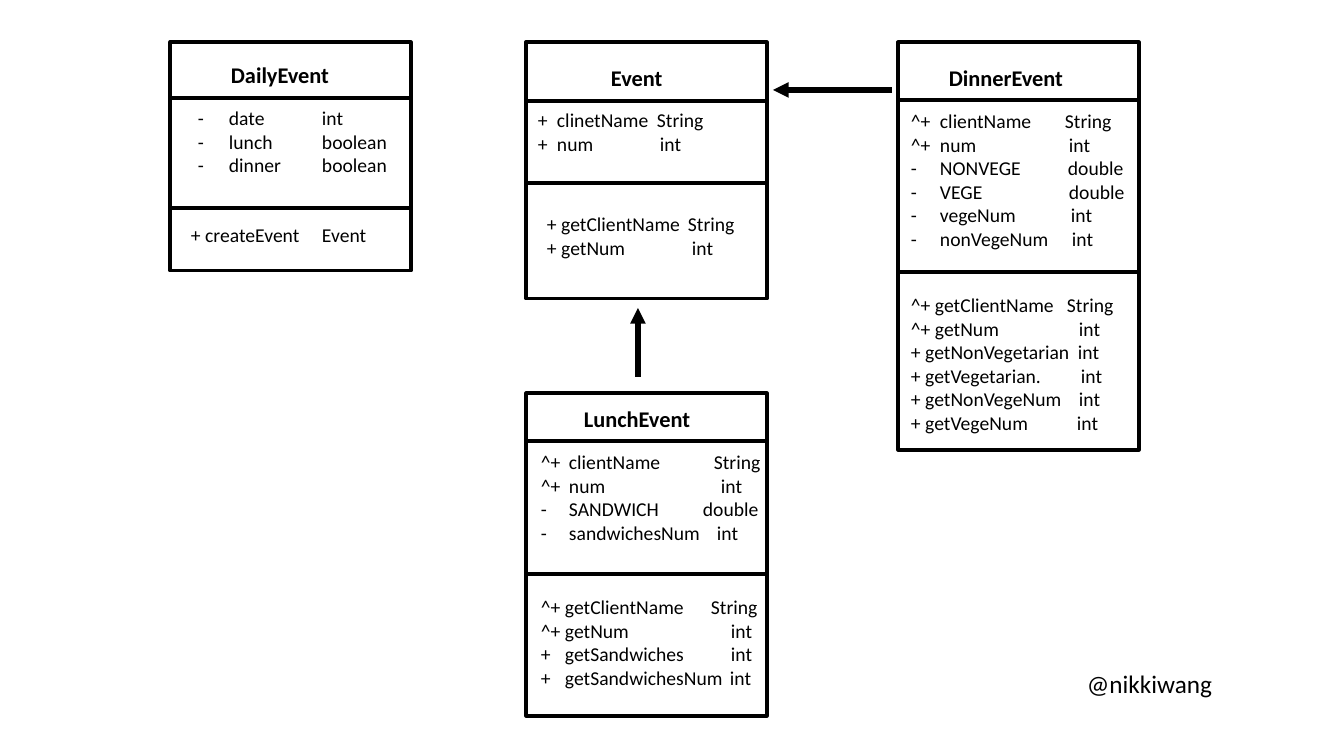
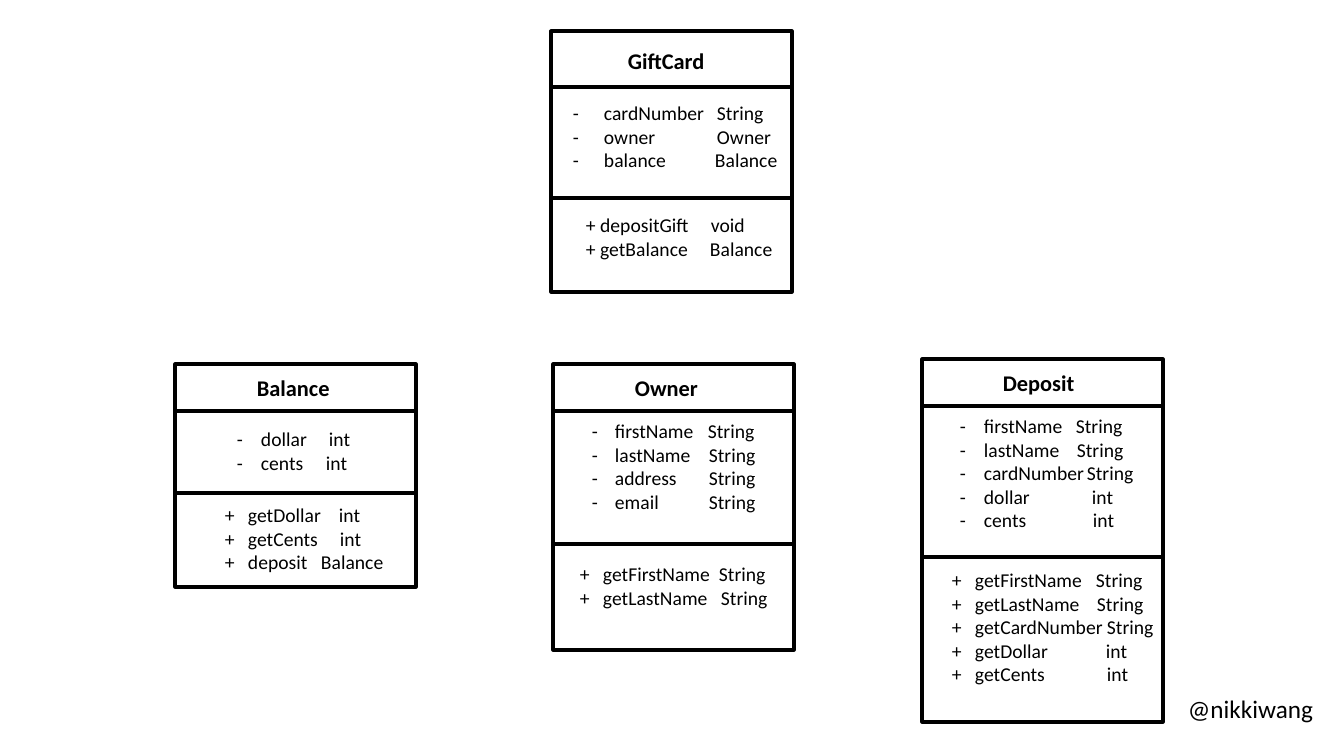
from lxml.etree import SubElement
from pptx import Presentation
from pptx.dml.color import RGBColor
from pptx.enum.shapes import MSO_CONNECTOR as CONNECTOR, MSO_SHAPE as SHAPE
from pptx.oxml.ns import qn
from pptx.util import Pt

PAGE_WIDTH, PAGE_HEIGHT = 1344, 756
SCALE = 12192000 / PAGE_WIDTH
BLACK = "000000"
FONT = "Calibri"
CLASS_WIDTH, TEXT_WIDTH = 241, 250
TITLE_SIZE, MEMBER_SIZE, HANDLE_SIZE = 16, 14, 18
BORDER, ARROW = 2.25, 3.75


def px(length):
    return round(length * SCALE)


def color(value):
    return RGBColor.from_string(value)


deck = Presentation()
deck.slide_width, deck.slide_height = px(PAGE_WIDTH), px(PAGE_HEIGHT)

# Class: name, (left, top, height), divider tops, (title left, title top), sections
# Section: left, top, name stop, rows of (member, type, type stop)
event_classes = [
    ("DailyEvent", (170, 42, 229), (98, 208), (231, 61), [
        (198, 106, 229, [("-\tdate", "int", 322), ("-\tlunch", "boolean", 322),
                         ("-\tdinner", "boolean", 322)]),
        (191, 223, None, [("+ createEvent", "Event", 322)]),
    ]),
    ("Event", (526, 42, 257), (101, 183), (611, 64), [
        (538, 108, 557, [("+\tclinetName", "String", 657), ("+\tnum", "int", 660)]),
        (547, 212, None, [("+ getClientName", "String", 688), ("+ getNum", "int", 692)]),
    ]),
    ("DinnerEvent", (898, 42, 408), (100, 272), (949, 64), [
        (911, 109, 940, [("^+\tclientName", "String", 1065), ("^+\tnum", "int", 1069),
                         ("-\tNONVEGE", "double", 1068), ("-\tVEGE", "double", 1069),
                         ("-\tvegeNum", "int", 1071), ("-\tnonVegeNum", "int", 1072)]),
        (911, 293, None, [("^+ getClientName", "String", 1067), ("^+ getNum", "int", 1079),
                          ("+ getNonVegetarian", "int", 1078), ("+ getVegetarian.", "int", 1081),
                          ("+ getNonVegeNum", "int", 1079), ("+ getVegeNum", "int", 1077)]),
    ]),
    ("LunchEvent", (526, 393, 323), (441, 574), (584, 405), [
        (541, 450, 569, [("^+\tclientName", "String", 714), ("^+\tnum", "int", 721),
                         ("-\tSANDWICH", "double", 703), ("-\tsandwichesNum", "int", 717)]),
        (541, 595, 565, [("^+\tgetClientName", "String", 711), ("^+\tgetNum", "int", 731),
                         ("+\tgetSandwiches", "int", 731), ("+\tgetSandwichesNum", "int", 730)]),
    ]),
]
card_classes = [
    ("GiftCard", (551, 31, 261), (87, 198), (628, 47), [
        (573, 101, 604, [("-\tcardNumber", "String", 717), ("-\towner", "Owner", 717),
                         ("-\tbalance", "Balance", 715)]),
        (586, 213, None, [("+ depositGift", "void", 711), ("+ getBalance", "Balance", 710)]),
    ]),
    ("Owner", (553, 364, 286), (411, 544), (635, 374), [
        (592, 419, 615, [("-\tfirstName", "String", 708), ("-\tlastName", "String", 709),
                         ("-\taddress", "String", 709), ("-\temail", "String", 709)]),
        (580, 562, 603, [("+\tgetFirstName", "String", 719), ("+\tgetLastName", "String", 721)]),
    ]),
    ("Balance", (175, 364, 223), (411, 493), (257, 374), [
        (237, 427, 261, [("-\tdollar", "int", 329), ("-\tcents", "int", 326)]),
        (225, 503, 248, [("+\tgetDollar", "int", 339), ("+\tgetCents", "int", 340),
                         ("+\tdeposit", "Balance", 321)]),
    ]),
    ("Deposit", (922, 359, 363), (406, 557), (1003, 369), [
        (960, 414, 984, [("-\tfirstName", "String", 1076), ("-\tlastName", "String", 1077),
                         ("-\tcardNumber", "String", 1087), ("-\tdollar", "int", 1092),
                         ("-\tcents", "int", 1093)]),
        (952, 568, 975, [("+\tgetFirstName", "String", 1096), ("+\tgetLastName", "String", 1097),
                         ("+\tgetCardNumber", "String", 1107), ("+\tgetDollar", "int", 1106),
                         ("+\tgetCents", "int", 1107)]),
    ]),
]
# Page: classes, inheritance arrows, handle position
pages = [
    (event_classes, [(892, 90, 773, 90), (638, 377, 638, 308)], (1087, 668)),
    (card_classes, [], (1188, 693)),
]

for classes, arrows, handle in pages:
    page = deck.slides.add_slide(deck.slide_layouts[6])
    lines = [(arrow, ARROW) for arrow in arrows]
    # Each text: left, top, width, size, bold, rows of (text, tab stops)
    texts = [(*handle, 150, HANDLE_SIZE, False, [("@nikkiwang", [])])]

    # Class outlines
    for name, (left, top, height), dividers, title, sections in classes:
        outline = page.shapes.add_shape(SHAPE.RECTANGLE, px(left), px(top),
                                        px(CLASS_WIDTH), px(height))
        outline.shadow.inherit = False
        outline.fill.background()
        outline.line.color.rgb = color(BLACK)
        outline.line.width = Pt(BORDER)
        lines += [((left, y, left + CLASS_WIDTH, y), BORDER) for y in dividers]
        texts.append((*title, TEXT_WIDTH, TITLE_SIZE, True, [(name, [])]))
        for x, y, name_stop, members in sections:
            rows = [(f"{member}\t{kind}", [name_stop, stop] if name_stop else [stop])
                    for member, kind, stop in members]
            texts.append((x, y, TEXT_WIDTH, MEMBER_SIZE, False, rows))

    # Dividers and arrows
    for ends, weight in lines:
        line = page.shapes.add_connector(CONNECTOR.STRAIGHT, *map(px, ends))
        line.line.color.rgb = color(BLACK)
        line.line.width = Pt(weight)
        if weight == ARROW:
            SubElement(line.line._get_or_add_ln(), qn("a:tailEnd"), type="triangle")
        SubElement(line._element.spPr, qn("a:effectLst"))

    # Titles, members and handle
    for left, top, width, size, bold, rows in texts:
        box = page.shapes.add_textbox(px(left), px(top), px(width), px(24 * len(rows)))
        frame = box.text_frame
        frame.word_wrap = True
        frame.margin_left = frame.margin_right = frame.margin_top = frame.margin_bottom = 0
        for index, (text, stops) in enumerate(rows):
            para = frame.add_paragraph() if index else frame.paragraphs[0]
            para.text = text
            if stops:
                tabs = SubElement(para._p.get_or_add_pPr(), qn("a:tabLst"))
                for stop in stops:
                    SubElement(tabs, qn("a:tab"), pos=str(px(stop - left)), algn="l")
            para.font.name = FONT
            para.font.size = Pt(size)
            para.font.bold = bold
            para.font.color.rgb = color(BLACK)

deck.save("out.pptx")
